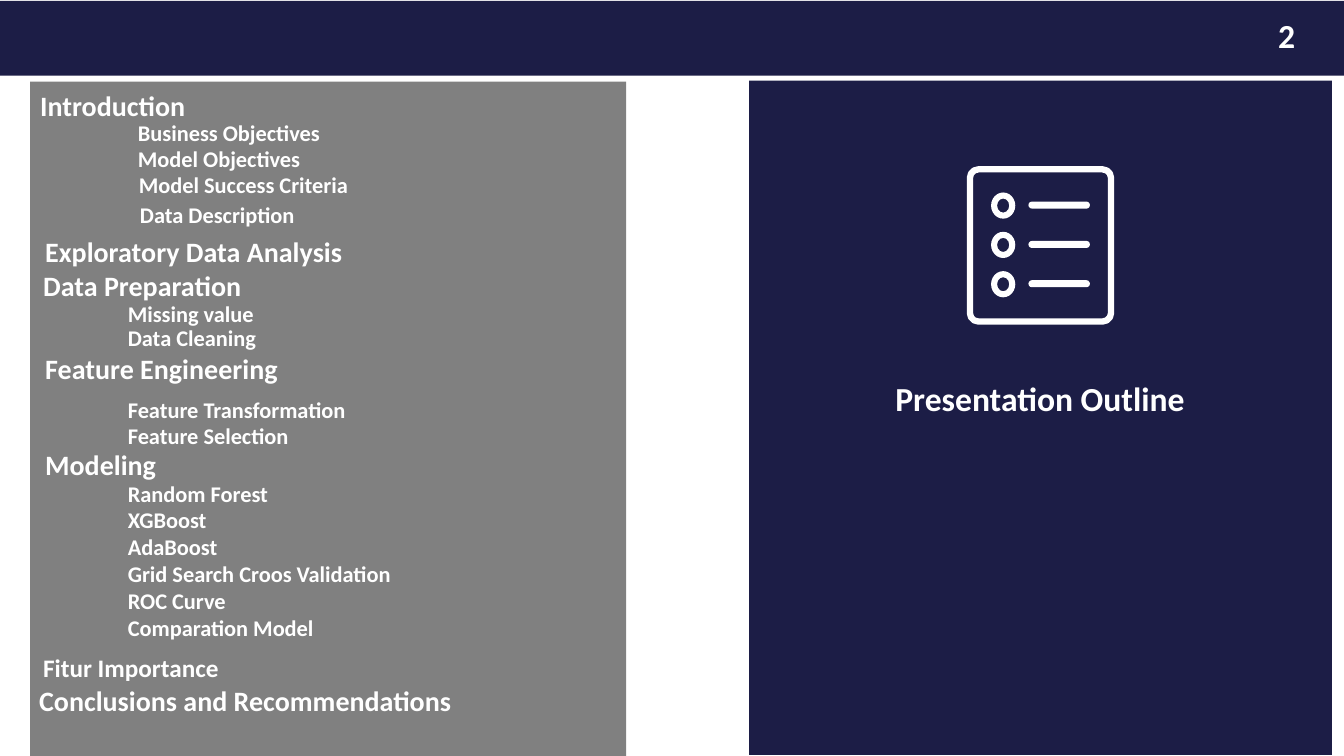
from pptx import Presentation
from pptx.dml.color import RGBColor
from pptx.enum.shapes import MSO_SHAPE
from pptx.enum.text import MSO_ANCHOR, PP_ALIGN
from pptx.util import Inches, Pt

COLORS = {"navy": "1C1D46", "gray": "808080", "white": "FFFFFF"}
FONT = "Calibri"
TITLE = "Presentation Outline"
SLIDE_NUMBER = "2"

# Outline entries: left, top, text size, lines
OUTLINE = [
    (0.30, 0.83, 20, ["Introduction"]),
    (1.27, 1.13, 16, ["Business Objectives"]),
    (1.27, 1.39, 16, ["Model Objectives"]),
    (1.28, 1.65, 16, ["Model Success Criteria"]),
    (1.29, 1.95, 16, ["Data Description"]),
    (0.35, 2.28, 20, ["Exploratory Data Analysis"]),
    (0.33, 2.61, 20, ["Data Preparation"]),
    (1.17, 2.93, 16, ["Missing value"]),
    (1.17, 3.17, 16, ["Data Cleaning"]),
    (0.35, 3.44, 20, ["Feature Engineering"]),
    (1.17, 3.88, 16, ["Feature Transformation"]),
    (1.17, 4.14, 16, ["Feature Selection"]),
    (0.35, 4.39, 20, ["Modeling"]),
    (1.17, 4.71, 16, ["Random Forest", "XGBoost", "AdaBoost",
                      "Grid Search Croos Validation", "ROC Curve",
                      "Comparation Model"]),
    (0.33, 6.42, 18, ["Fitur Importance"]),
    (0.29, 6.73, 20, ["Conclusions and Recommendations"]),
]
TEXT_WIDTH = 4.9
LINE_HEIGHTS = {16: 0.27, 18: 0.30, 20: 0.34}
PADDING = 0.1

ICON_ROWS = 3
ICON_ROW_STEP = 0.39
ICON_STROKE = 4.5


def color(name):
    """Return the named colour."""
    return RGBColor.from_string(COLORS[name])


def add_block(shapes, kind, box, fill=None, adjustment=None):
    """Add a preset shape without outline or shadow."""
    shape = shapes.add_shape(kind, *(Inches(length) for length in box))
    shape.shadow.inherit = False
    shape.line.fill.background()
    if fill:
        shape.fill.solid()
        shape.fill.fore_color.rgb = color(fill)
    else:
        shape.fill.background()
    if adjustment is not None:
        shape.adjustments[0] = adjustment
    return shape


def write_lines(shape, lines, size, alignment=PP_ALIGN.LEFT):
    """Fill a shape with bold white paragraphs."""
    frame = shape.text_frame
    frame.word_wrap = True
    for index, line in enumerate(lines):
        paragraph = frame.add_paragraph() if index else frame.paragraphs[0]
        paragraph.alignment = alignment
        run = paragraph.add_run()
        run.text = line
        run.font.name = FONT
        run.font.size = Pt(size)
        run.font.bold = True
        run.font.color.rgb = color("white")


def add_list_icon(slide):
    """Draw a framed checklist as one group."""
    shapes = slide.shapes.add_group_shape().shapes
    frame = add_block(shapes, MSO_SHAPE.ROUNDED_RECTANGLE,
                      (9.62, 1.68, 1.4, 1.51), adjustment=0.06)
    frame.line.color.rgb = color("white")
    frame.line.width = Pt(ICON_STROKE)
    for row in range(ICON_ROWS):
        offset = row * ICON_ROW_STEP
        add_block(shapes, MSO_SHAPE.DONUT,
                  (9.83, 1.91 + offset, 0.24, 0.26), "white", 0.25)
        add_block(shapes, MSO_SHAPE.ROUNDED_RECTANGLE,
                  (10.2, 2 + offset, 0.61, 0.07), "white", 0.5)


def place_title(slide):
    """Put the slide title over the right panel."""
    title = slide.shapes.title
    title.left, title.top = Inches(7.98), Inches(3.75)
    title.width, title.height = Inches(4.67), Inches(0.4)
    frame = title.text_frame
    frame.margin_left = frame.margin_right = 0
    frame.margin_top = frame.margin_bottom = 0
    frame.vertical_anchor = MSO_ANCHOR.MIDDLE
    write_lines(title, [TITLE], 24, PP_ALIGN.CENTER)
    title.element.getparent().append(title.element)


presentation = Presentation()
presentation.slide_width = Inches(13.33)
presentation.slide_height = Inches(7.5)
slide = presentation.slides.add_slide(presentation.slide_layouts[5])

add_block(slide.shapes, MSO_SHAPE.RECTANGLE, (0, 0.01, 13.33, 0.74), "navy")
number_box = add_block(slide.shapes, MSO_SHAPE.RECTANGLE,
                       (12.27, 0.09, 0.98, 0.51), "navy")
write_lines(number_box, [SLIDE_NUMBER], 24, PP_ALIGN.CENTER)

add_block(slide.shapes, MSO_SHAPE.RECTANGLE, (7.43, 0.8, 5.78, 6.69), "navy")
add_list_icon(slide)
place_title(slide)

add_block(slide.shapes, MSO_SHAPE.RECTANGLE, (0.3, 0.81, 5.91, 6.69), "gray")
for left, top, size, lines in OUTLINE:
    height = len(lines) * LINE_HEIGHTS[size] + PADDING
    text_box = slide.shapes.add_textbox(Inches(left), Inches(top),
                                        Inches(TEXT_WIDTH), Inches(height))
    write_lines(text_box, lines, size)

presentation.save("out.pptx")
